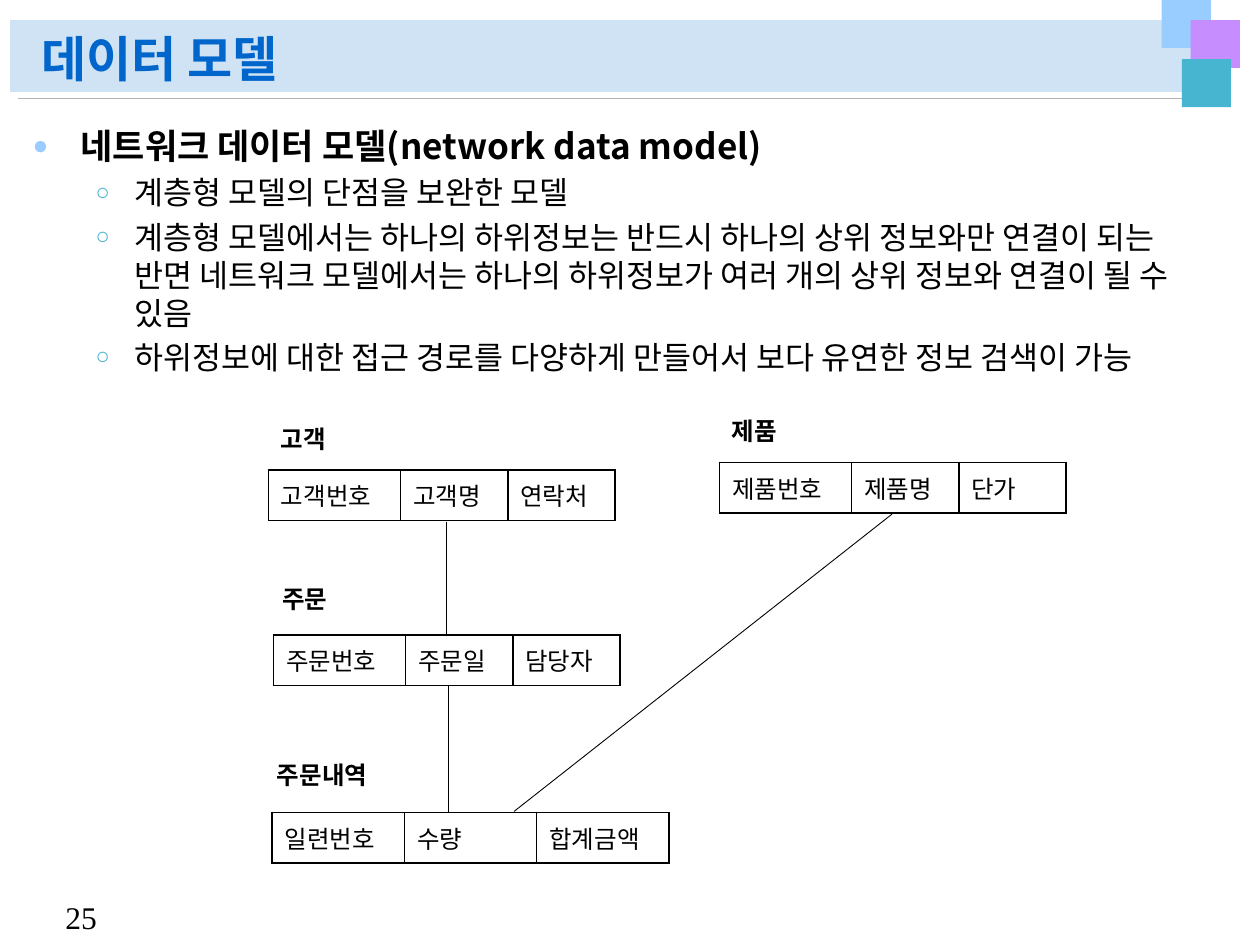
from lxml.etree import SubElement
from pptx import Presentation
from pptx.dml.color import RGBColor
from pptx.enum.shapes import MSO_CONNECTOR as Connector, MSO_SHAPE as Shape
from pptx.enum.text import MSO_ANCHOR as Anchor, MSO_AUTO_SIZE as AutoSize, PP_ALIGN as Align
from pptx.oxml.ns import qn
from pptx.util import Inches, Pt

KOREAN, LATIN = "Noto Sans CJK KR", "Times New Roman"
BLACK, WHITE, RULE_GRAY = "000000", "FFFFFF", "B2B2B2"

TITLE = "데이터 모델"
PAGE_NUMBER = "25"
OUTLINE = [
    (0, "네트워크 데이터 모델(network data model)"),
    (1, "계층형 모델의 단점을 보완한 모델"),
    (1, "계층형 모델에서는 하나의 하위정보는 반드시 하나의 상위 정보와만 연결이 되는 반면 "
        "네트워크 모델에서는 하나의 하위정보가 여러 개의 상위 정보와 연결이 될 수 있음"),
    (1, "하위정보에 대한 접근 경로를 다양하게 만들어서 보다 유연한 정보 검색이 가능"),
]
# Per outline level: size, bold, line pitch, left margin, hanging indent, bullet, bullet colour
LEVELS = [
    (20, True, 24, 0.38, 0.38, "●", "99CCFF"),
    (18, False, 21.7, 0.81, 0.31, "○", "47B5CF"),
]
DECORATIONS = [  # left, top, width, height, colour
    (0.08, 0.16, 9.69, 0.57, "D0E3F5"),
    (9.22, 0, 0.39, 0.38, "99CCFF"),
    (9.45, 0.16, 0.39, 0.38, "C68DFF"),
    (9.38, 0.47, 0.39, 0.38, "47B5CF"),
]
HEADER_RULE = (9.74, 0.78, 0.14, 0.78)
WIDE, NARROW, ROW_HEIGHT = 1.05, 0.85, 0.4
RECORDS = [  # name, name position, table position, fields, column widths
    ("고객", (2.13, 3.31), (2.13, 3.73), ("고객번호", "고객명", "연락처"), (WIDE, NARROW, NARROW)),
    ("주문", (2.14, 4.58), (2.17, 5.04), ("주문번호", "주문일", "담당자"), (WIDE, NARROW, NARROW)),
    ("주문내역", (2.1, 5.98), (2.16, 6.45), ("일련번호", "수량", "합계금액"), (WIDE, WIDE, WIDE)),
    ("제품", (5.71, 3.25), (5.71, 3.67), ("제품번호", "제품명", "단가"), (WIDE, NARROW, NARROW)),
]
LINKS = [(3.54, 4.14, 3.54, 5.04), (7.08, 4.08, 4.08, 6.44), (3.56, 5.44, 3.56, 6.45)]


def rgb(color):
    return RGBColor.from_string(color)


def write(paragraph, text, size=14, color=BLACK, bold=False, font=KOREAN):
    run = paragraph.add_run()
    run.text = text
    run.font.size, run.font.bold, run.font.name = Pt(size), bold, font
    run.font.color.rgb = rgb(color)
    SubElement(run.font._element, qn("a:ea"), typeface=font)
    paragraph.alignment = Align.LEFT


def place(shape, left, top, width, height):
    shape.left, shape.top = Inches(left), Inches(top)
    shape.width, shape.height = Inches(width), Inches(height)


def add_label(left, top, width, height, text, **style):
    frame = slide.shapes.add_textbox(*map(Inches, (left, top, width, height))).text_frame
    frame.word_wrap = False
    frame.vertical_anchor = Anchor.MIDDLE
    write(frame.paragraphs[0], text, **style)


def add_line(ends, color=BLACK):
    line = slide.shapes.add_connector(Connector.STRAIGHT, *map(Inches, ends))
    line.line.color.rgb = rgb(color)
    line.line.width = Pt(0.5)
    SubElement(line.element.spPr, qn("a:effectLst"))


def set_bullet(paragraph, margin, hanging, bullet, color):
    props = paragraph._p.get_or_add_pPr()
    props.set("marL", str(Inches(margin)))
    props.set("indent", str(-Inches(hanging)))
    SubElement(SubElement(props, qn("a:buClr")), qn("a:srgbClr"), val=color)
    SubElement(props, qn("a:buSzPct"), val="75000")
    SubElement(props, qn("a:buChar"), char=bullet)


def set_borders(cell):
    props = cell._tc.get_or_add_tcPr()
    for index, side in enumerate(("lnL", "lnR", "lnT", "lnB")):
        border = props.makeelement(qn(f"a:{side}"), {"w": str(Pt(1))})
        SubElement(SubElement(border, qn("a:solidFill")), qn("a:srgbClr"), val=BLACK)
        props.insert(index, border)


def add_record(name, name_at, table_at, fields, widths):
    size = (sum(widths), ROW_HEIGHT)
    table = slide.shapes.add_table(1, len(fields), *map(Inches, table_at + size)).table
    table.first_row = table.horz_banding = False
    for column, width in zip(table.columns, widths):
        column.width = Inches(width)
    for cell, field in zip(table.rows[0].cells, fields):
        cell.fill.solid()
        cell.fill.fore_color.rgb = rgb(WHITE)
        cell.vertical_anchor = Anchor.MIDDLE
        set_borders(cell)
        write(cell.text_frame.paragraphs[0], field)
    add_label(*name_at, 0.2 + 0.2 * len(name), 0.34, name, bold=True)


prs = Presentation()
prs.slide_width, prs.slide_height = Inches(10), Inches(7.5)
slide = prs.slides.add_slide(prs.slide_layouts[1])
title, body = slide.placeholders

band, *squares = DECORATIONS
for *box, color in [band]+squares:
    block = slide.shapes.add_shape(Shape.RECTANGLE, *map(Inches, box))
    block.fill.solid()
    block.fill.fore_color.rgb = rgb(color)
    block.line.fill.background()
    block.shadow.inherit = False
    if box == list(band[:4]):
        add_line(HEADER_RULE, RULE_GRAY)
add_label(0.42, 7.08, 0.5, 0.4, PAGE_NUMBER, size=18, font=LATIN)

# Bring the placeholders in front of the decorations
for placeholder in (title, body):
    placeholder.element.getparent().append(placeholder.element)
    placeholder.text_frame.auto_size = AutoSize.NONE

place(title, 0.23, 0.17, 8.98, 0.58)
title.text_frame.vertical_anchor = Anchor.BOTTOM
heading = title.text_frame.paragraphs[0]
heading.line_spacing = 0.9
write(heading, TITLE, size=28, color="0066CC", bold=True)

place(body, 0.16, 0.94, 9.61, 6.02)
for index, (level, text) in enumerate(OUTLINE):
    size, bold, pitch, *bullet_format = LEVELS[level]
    frame = body.text_frame
    item = frame.add_paragraph() if index else frame.paragraphs[0]
    item.level = level
    item.line_spacing, item.space_before = Pt(pitch), Pt(size * 0.2)
    set_bullet(item, *bullet_format)
    write(item, text, size=size, bold=bold)

for record in RECORDS:
    add_record(*record)
for link in LINKS:
    add_line(link)

prs.save("out.pptx")
